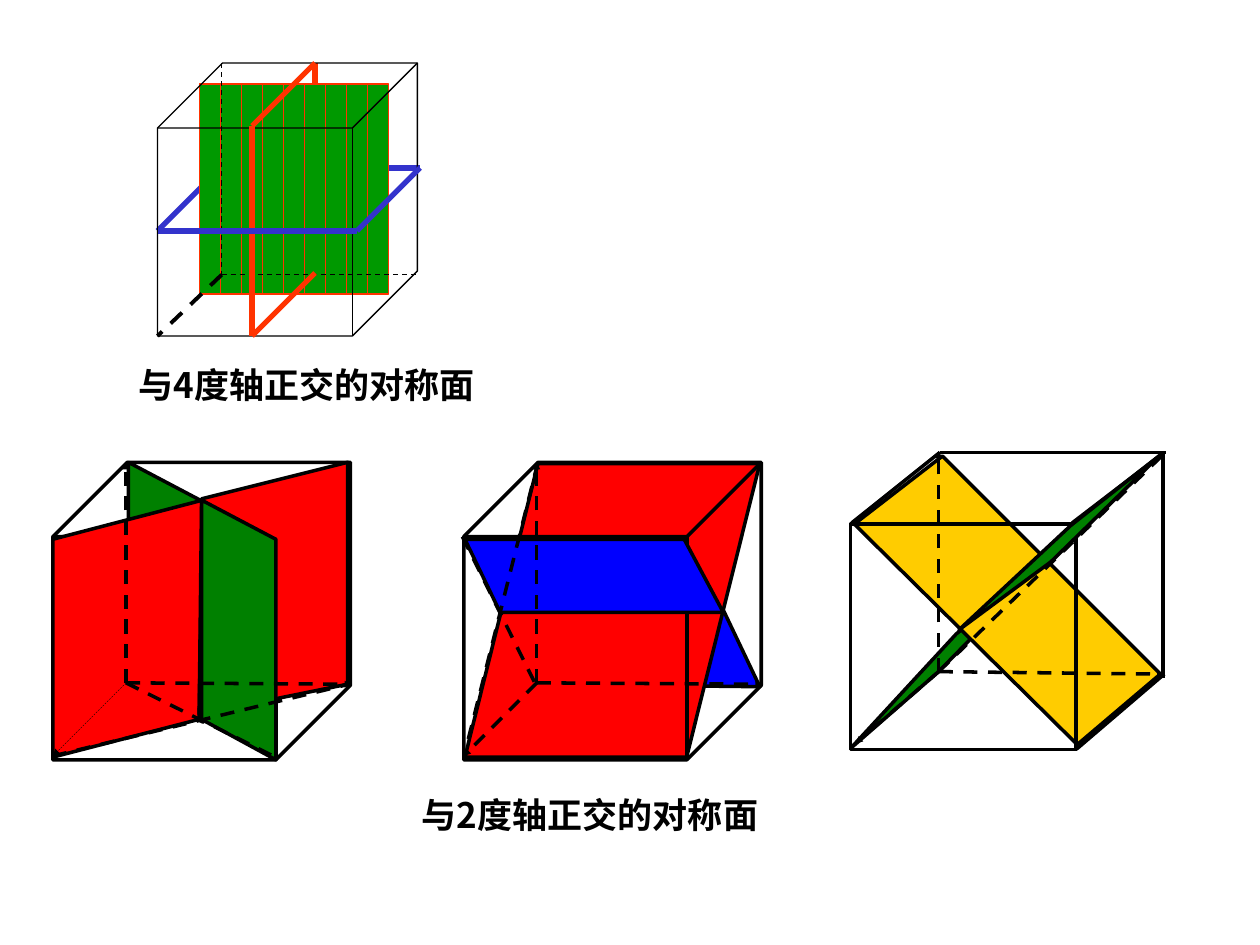
from pptx import Presentation
from pptx.dml.color import RGBColor
from pptx.enum.dml import MSO_LINE
from pptx.enum.shapes import MSO_CONNECTOR, MSO_SHAPE as SHAPE
from pptx.oxml.ns import qn
from pptx.util import Pt
from lxml.etree import SubElement

BLACK, RED, GREEN, BLUE, YELLOW = "000000", "FF0000", "008000", "0000FF", "FFCC00"
ORANGE, INDIGO, LEAF = "FF3300", "3333CC", "009900"
FONT = "Noto Sans CJK SC"


def rgb(value):
    return RGBColor.from_string(value)


def outline(s, color, width):
    s.line.color.rgb = rgb(color)
    s.line.width = Pt(width)


def paint(s, fill, color, width):
    """Flat fill (or none) and outline, without shadow."""
    s.shadow.inherit = False
    if fill:
        s.fill.solid()
        s.fill.fore_color.rgb = rgb(fill)
    else:
        s.fill.background()
    outline(s, color, width)


def add_line(shapes, start, end, color=BLACK, width=2, dash=False, arrow=False):
    s = shapes.add_connector(MSO_CONNECTOR.STRAIGHT, *map(Pt, start + end))
    outline(s, color, width)
    if dash:
        s.line.dash_style = MSO_LINE.DASH
    if arrow:
        SubElement(s.line._get_or_add_ln(), qn("a:tailEnd"),
                   type="triangle", w="sm", len="sm")
    SubElement(s._element.spPr, qn("a:effectLst"))


def add_hidden_edges(shapes, corner, *ends):
    """Dashed arrows from the hidden corner of a cube."""
    for end in ends:
        add_line(shapes, corner, end, dash=True, arrow=True)


def add_box(shapes, kind, x, y, w, h, fill=None, color=BLACK, width=2):
    s = shapes.add_shape(kind, Pt(x), Pt(y), Pt(w), Pt(h))
    if kind == SHAPE.CUBE:
        s.adjustments[0] = 0.25
    paint(s, fill, color, width)


def add_plane(shapes, fill, *points):
    corners = [(Pt(x), Pt(y)) for x, y in points]
    builder = shapes.build_freeform(*corners[0])
    builder.add_line_segments(corners[1:], close=True)
    paint(builder.convert_to_shape(), fill, BLACK, 2)


def add_caption(shapes, x, y, w, text):
    tf = shapes.add_textbox(Pt(x), Pt(y), Pt(w), Pt(32)).text_frame
    tf.word_wrap = True
    r = tf.paragraphs[0].add_run()
    r.text = text
    r.font.size, r.font.bold, r.font.name = Pt(20), True, FONT
    r.font.color.rgb = rgb(BLACK)
    r_pr = r.font._element
    SubElement(r_pr, qn("a:ea"), typeface=FONT)


def draw_axis_planes(shapes):
    """Cube with the three planes normal to its 4-fold axes."""
    add_line(shapes, (180, 36), (180, 156), ORANGE, 3)
    for end in (90, 132), (240, 96):
        add_line(shapes, (126, 96), end, INDIGO, 3)
    add_box(shapes, SHAPE.RECTANGLE, 114, 48, 108, 120, LEAF, ORANGE, 0.75)
    for x in range(126, 222, 12):
        add_line(shapes, (x, 48), (x, 168), ORANGE, 0.75)
    add_box(shapes, SHAPE.CUBE, 90, 36, 148.5, 156, width=0.75)
    corner = (126.7, 157)
    add_line(shapes, (126.7, 36), corner, width=0.75, dash=True)
    add_line(shapes, corner, (238.5, 157), width=0.75, dash=True)
    add_line(shapes, corner, (90, 192), width=2.25, dash=True)
    for start, end, color in (
        ((180, 156), (144, 192), ORANGE),
        ((144, 72), (144, 192), ORANGE),
        ((180, 36), (144, 72), ORANGE),
        ((90, 132), (204, 132), INDIGO),
        ((240, 96), (204, 132), INDIGO),
    ):
        add_line(shapes, start, end, color, 3)


def draw_vertical_planes(shapes):
    add_plane(shapes, GREEN, (73.4, 389.5), (115.9, 412.6), (115.9, 286.6), (73.4, 264.2))
    add_box(shapes, SHAPE.CUBE, 30.2, 264.2, 170, 170)
    add_plane(shapes, RED, (30.2, 308.2), (115.9, 285.8), (113.8, 411.1), (30.2, 432.7))
    add_plane(shapes, RED, (115.2, 285.1), (198.7, 264.2), (198.7, 391), (113.8, 408.2))
    add_plane(shapes, GREEN, (115.2, 411.1), (157.7, 434.2), (157.7, 308.2), (115.2, 285.8))
    corner = (72, 390.2)
    add_line(shapes, corner, (30.2, 432), width=0.25, dash=True, arrow=True)
    add_line(shapes, corner, (156.2, 432), dash=True)
    add_line(shapes, (30.2, 432), (199.4, 391), dash=True)
    add_hidden_edges(shapes, corner, (72, 264.2), (200.9, 391))


def draw_horizontal_planes(shapes):
    add_plane(shapes, BLUE, (308.2, 391), (285.1, 347.8), (413.3, 348.5), (434.2, 392.4))
    add_plane(shapes, RED, (307.4, 265), (265.7, 432.7), (392.4, 432.7), (434.2, 265))
    add_box(shapes, SHAPE.CUBE, 265, 264.2, 170, 170)
    corner = (306.7, 390.2)
    add_hidden_edges(shapes, corner, (435.6, 391))
    add_plane(shapes, BLUE, (285.8, 349.9), (265.7, 308.2), (391, 308.2), (413.3, 349.9))
    add_hidden_edges(shapes, corner, (306.7, 264.2), (265, 432))
    add_line(shapes, (264.2, 306.7), (306, 391), dash=True)
    add_line(shapes, (307.4, 264.2), (265, 432.7), dash=True)


def draw_diagonal_planes(shapes):
    corner = (536.4, 383.8)
    add_plane(shapes, GREEN, (595.4, 323.3), (546.5, 362.2), (486, 427.7), corner)
    add_hidden_edges(shapes, corner, (488.9, 424.8))
    add_plane(shapes, YELLOW, (538.6, 260.6), (488.2, 299.5), (615.6, 425.5), (663.1, 385.2))
    add_box(shapes, SHAPE.RECTANGLE, 486, 299.5, 128.9, 128.9)
    for start, end in (
        ((537.1, 258.5), (666, 258.5)),
        ((537.1, 258.5), (486.7, 298.8)),
        ((665.3, 258.5), (612.7, 298.8)),
        ((664.6, 387.4), (664.6, 259.2)),
        ((665.3, 385.2), (615.6, 427.7)),
    ):
        add_line(shapes, start, end)
    add_hidden_edges(shapes, corner, (665.3, 385.2), (536.4, 257.8))
    add_line(shapes, corner, (664.6, 259.9), dash=True)
    add_plane(shapes, GREEN, (663.1, 259.9), (612, 300.2), (547.9, 360), (600.5, 321.1))


def main():
    prs = Presentation()
    prs.slide_width, prs.slide_height = Pt(720), Pt(540)
    shapes = prs.slides.add_slide(prs.slide_layouts[6]).shapes
    draw_axis_planes(shapes.add_group_shape().shapes)
    add_caption(shapes, 72, 204, 222, "与4度轴正交的对称面")
    for draw in draw_vertical_planes, draw_horizontal_planes, draw_diagonal_planes:
        draw(shapes.add_group_shape().shapes)
    add_caption(shapes, 234, 450, 306, "与2度轴正交的对称面")
    prs.save("out.pptx")


if __name__ == "__main__":
    main()
